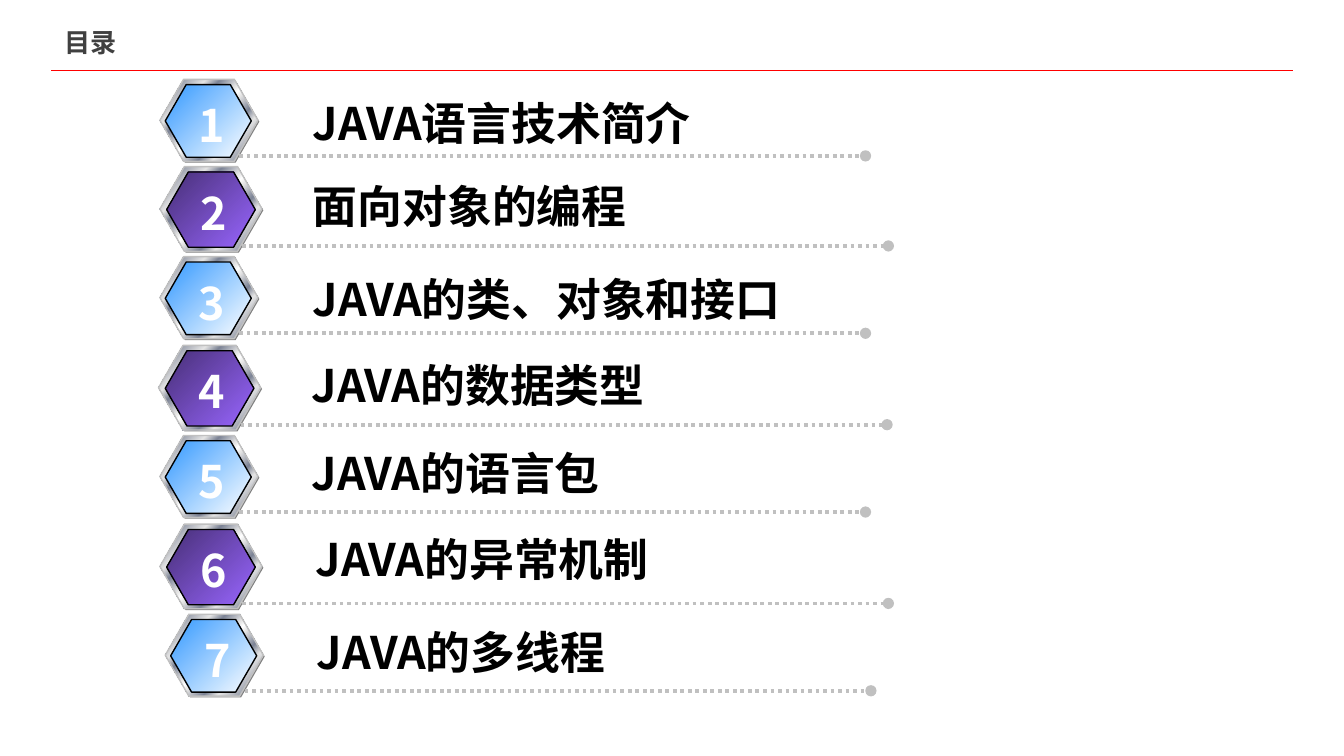
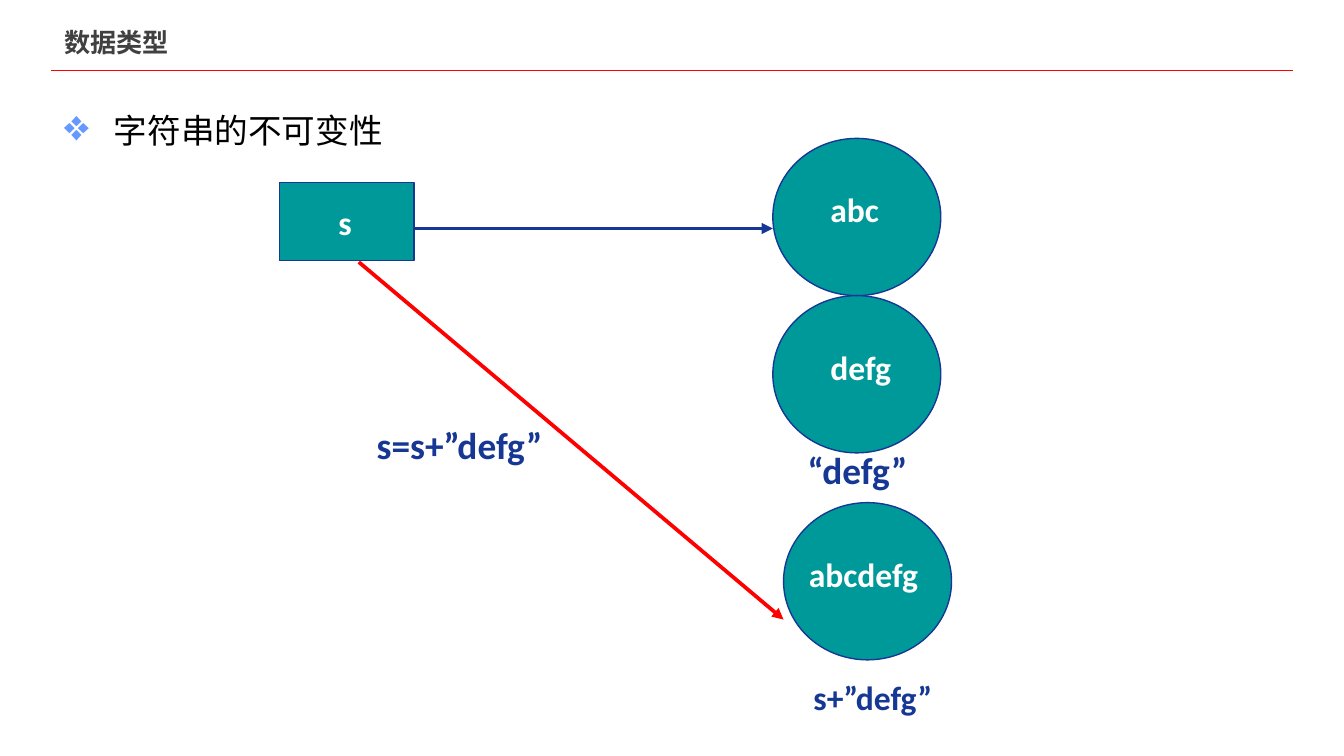
import lxml.etree
import pptx
import pptx.dml.color
import pptx.enum.dml
import pptx.enum.shapes
import pptx.enum.text
import pptx.oxml.ns
import pptx.util

PX = 9144  # 100 px to the inch
CJK, LATIN = "Noto Sans CJK SC", "Calibri"
BLACK, WHITE, RED, GRAY = "000000", "FFFFFF", "FF0000", "C0C0C0"
TEAL, NAVY = "009999", "163794"
STEEL = [(0, "E6E6E6"), (8, "7D8496"), (26, "E6E6E6"), (34, "7D8496"),
         (46, "E6E6E6"), (50, WHITE), (54, "E6E6E6"), (66, "7D8496"),
         (74, "E6E6E6"), (92, "7D8496"), (100, "E6E6E6")]
SKY = [(0, "3399FF"), (100, WHITE)]
PLUM = [(0, "472F76"), (100, "9966FF")]

rgb = pptx.dml.color.RGBColor.from_string
qn = pptx.oxml.ns.qn
sub = lxml.etree.SubElement
Shape = pptx.enum.shapes.MSO_SHAPE
Align = pptx.enum.text.PP_ALIGN
Anchor = pptx.enum.text.MSO_ANCHOR
Fit = pptx.enum.text.MSO_AUTO_SIZE


def write(box, text, size, hue, face=CJK, bold=True, align=Align.LEFT,
          wrap=True, anchor=Anchor.TOP, fit=Fit.SHAPE_TO_FIT_TEXT):
    """Put one formatted paragraph in a box and return the paragraph."""
    frame = box.text_frame
    look = {"word_wrap": wrap, "auto_size": fit, "vertical_anchor": anchor}
    for key, value in look.items():
        setattr(frame, key, value)
    para = frame.paragraphs[0]
    para.alignment = align
    run = para.add_run()
    run.text = text
    run.font.color.rgb = rgb(hue)
    look = {"name": face, "size": pptx.util.Pt(size), "bold": bold}
    for key, value in look.items():
        setattr(run.font, key, value)
    sub(run._r.get_or_add_rPr(), qn("a:ea"), typeface=face)
    return para


def link(slide, ends, hue, width, tail=None, dash=None):
    """Draw a straight line, with an optional end mark and dash."""
    wire = slide.shapes.add_connector(
        pptx.enum.shapes.MSO_CONNECTOR.STRAIGHT, *(PX * n for n in ends))
    wire.line.color.rgb = rgb(hue)
    wire.line.width = pptx.util.Pt(width)
    if dash:
        wire.line.dash_style = dash
    if tail:
        sub(wire.line._get_or_add_ln(), qn("a:tailEnd"), type=tail)
    sub(wire._element.spPr, qn("a:effectLst"))


deck = pptx.Presentation()
deck.slide_width = 1000 * PX
deck.slide_height = deck.slide_width * 9 // 16

# Title and red rule on both slides
for name in ("目录", "数据类型"):
    slide = deck.slides.add_slide(deck.slide_layouts[5])
    title = slide.shapes.title
    spot = {"left": 38, "top": 16, "width": 438, "height": 30}
    for key, value in spot.items():
        setattr(title, key, value * PX)
    write(title, name, 14, "404040", anchor=Anchor.MIDDLE, fit=Fit.NONE)
    link(slide, (38, 52, 962, 52), RED, 0.25)
index, types = deck.slides

# Slide 1: numbered topics (badge left and top, label left and top)
topics = [
    ("JAVA语言技术简介", 119, 59, 223, 66),
    ("面向对象的编程", 119, 124, 223, 128),
    ("JAVA的类、对象和接口", 119, 191, 223, 197),
    ("JAVA的数据类型", 118, 257, 222, 261),
    ("JAVA的语言包", 119, 324, 222, 327),
    ("JAVA的异常机制", 119, 390, 225, 391),
    ("JAVA的多线程", 123, 457, 226, 460),
]
for num, (text, x, y, left, top) in enumerate(topics, 1):
    even = num % 2 == 0
    wide, high = (76, 63) if even else (73, 61)
    hexes = [
        (x + 1, y + 1, wide, high, None, None),
        (x, y, wide, high, STEEL, GRAY),
        (x + 4 + even, y + 4, wide - 9 - even, high - 7, PLUM if even else SKY, BLACK),
    ]
    for *place, stops, edge in hexes:
        tile = index.shapes.add_shape(Shape.HEXAGON, *(PX * n for n in place))
        tile.shadow.inherit = False
        tile.adjustments[0], tile.adjustments[1] = 0.289, 1.155
        if not stops:
            tile.fill.solid()
            tile.fill.fore_color.rgb = rgb("808080")
            tile.line.fill.background()
            continue
        tile.fill.gradient()
        tile.fill.gradient_angle = 315
        ramp = tile._element.spPr.find(".//" + qn("a:gsLst"))
        ramp.clear()
        for stop, hue in stops:
            mark = sub(ramp, qn("a:gs"), pos=str(stop * 1000))
            sub(mark, qn("a:srgbClr"), val=hue)
        tile.line.color.rgb = rgb(edge)
        tile.line.width = pptx.util.Pt(0.75)
    rail = y + 57 + 2 * even
    link(index, (x + 59 + 2 * even, rail, x + 525 + 17 * even, rail), GRAY, 2,
         "oval", pptx.enum.dml.MSO_LINE.ROUND_DOT)
    label = index.shapes.add_textbox(left * PX, top * PX, 468 * PX, 50 * PX)
    write(label, text, 24, BLACK)
    digit = index.shapes.add_textbox((x + 19 + even) * PX, (y + 9) * PX, 41 * PX, 50 * PX)
    write(digit, str(num), 24, WHITE, wrap=False)

# Slide 2: what a string variable points to
point = types.shapes.add_textbox(38 * PX, 77 * PX, 900 * PX, 64 * PX)
para = write(point, "字符串的不可变性", 18, BLACK, bold=False, fit=Fit.NONE)
props = para._p.get_or_add_pPr()
props.set("marL", str(37 * PX))
props.set("indent", str(-37 * PX))
sub(sub(props, qn("a:buClr")), qn("a:srgbClr"), val="6699FF")
sub(props, qn("a:buSzPct"), val="130000")
sub(props, qn("a:buChar"), char="❖")

nodes = [
    (Shape.OVAL, 575, 103, 125, 117),
    (Shape.RECTANGLE, 208, 136, 100, 58),
    (Shape.OVAL, 575, 220, 125, 117),
    (Shape.OVAL, 583, 374, 125, 117),
]
for kind, *place in nodes:
    node = types.shapes.add_shape(kind, *(PX * n for n in place))
    node.shadow.inherit = False
    node.fill.solid()
    node.fill.fore_color.rgb = rgb(TEAL)
    node.line.color.rgb = rgb(NAVY)
    node.line.width = pptx.util.Pt(0.75)

link(types, (308, 170, 575, 170), NAVY, 2, "triangle")
link(types, (267, 195, 583, 461), RED, 2, "triangle")

words = [
    ("abc", 608, 136, 75, 40, 18, WHITE, Align.LEFT),
    ("s", 242, 145, 42, 40, 18, WHITE, Align.LEFT),
    ("defg", 608, 253, 75, 40, 18, WHITE, Align.LEFT),
    ("abcdefg", 592, 407, 117, 40, 18, WHITE, Align.LEFT),
    ("“defg”", 542, 328, 192, 44, 20, NAVY, Align.CENTER),
    ("s+”defg”", 508, 499, 283, 40, 18, NAVY, Align.CENTER),
    ("s=s+”defg”", 242, 309, 200, 44, 20, NAVY, Align.CENTER),
]
for text, *place, size, hue, align in words:
    box = types.shapes.add_textbox(*(PX * n for n in place))
    write(box, text, size, hue, LATIN, align=align)

deck.save("out.pptx")
